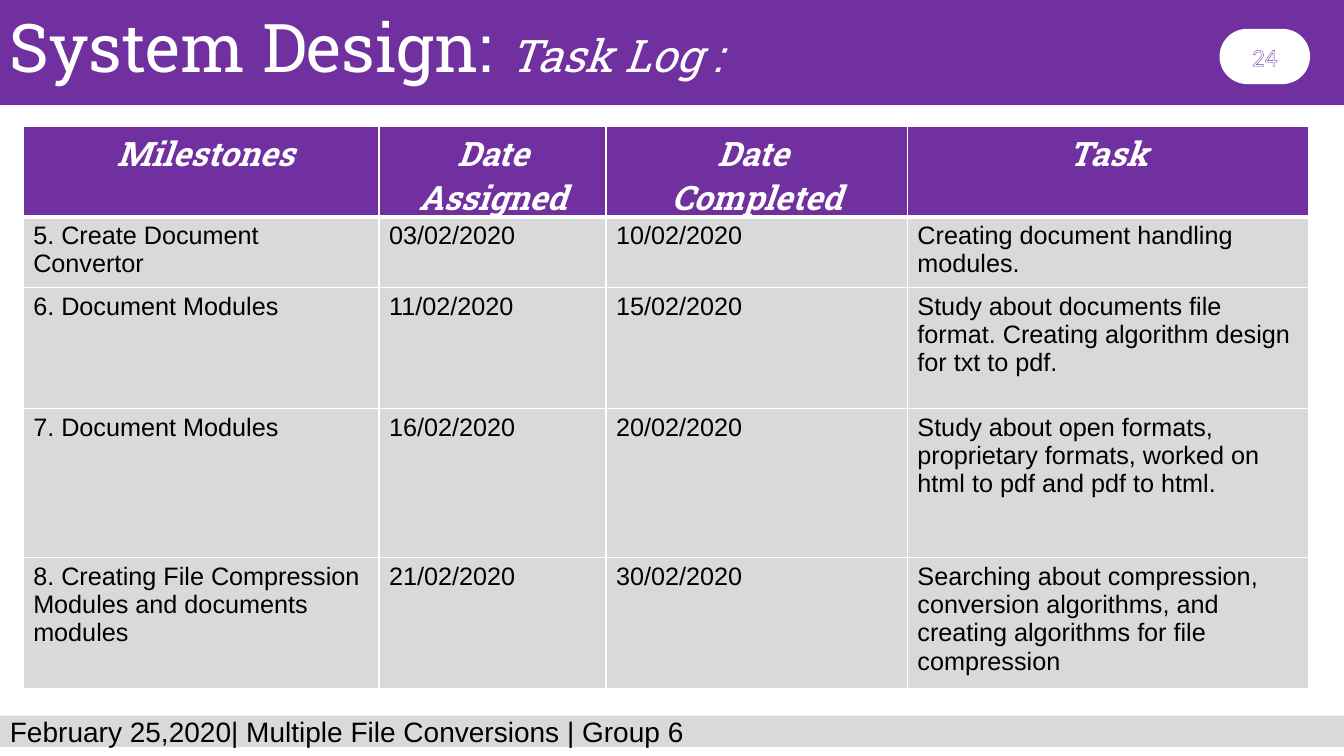
from lxml.etree import SubElement
from pptx import Presentation
from pptx.dml.color import RGBColor
from pptx.enum.shapes import MSO_SHAPE
from pptx.enum.text import MSO_ANCHOR, MSO_AUTO_SIZE, PP_ALIGN
from pptx.oxml import parse_xml
from pptx.oxml.ns import nsdecls, qn
from pptx.util import Inches, Pt

COLORS = {"purple": "7030A0", "gray": "D9D9D9", "white": "FFFFFF", "black": "000000"}
SLIDE_WIDTH, SLIDE_HEIGHT = 13.33, 7.5
THIN, THICK = 0.96, 3

COLUMN_WIDTHS = [3.53, 2.25, 2.99, 3.98]
ROW_HEIGHTS = [0.83, 0.65, 1.2, 1.48, 0.92]
# Each cell is a string; a line break starts a new paragraph.
TASK_LOG = [
    [" Milestones", "Date Assigned", "Date \nCompleted", "Task"],
    ["5. Create Document Convertor", "03/02/2020", "10/02/2020",
     "Creating document handling modules."],
    ["6. Document Modules", "11/02/2020", "15/02/2020",
     "Study about documents file format. Creating algorithm design for txt to pdf."],
    ["7. Document Modules", "16/02/2020", "20/02/2020",
     "Study about open formats, proprietary formats, worked on html to pdf and pdf to html."],
    ["8. Creating File Compression Modules and documents modules", "21/02/2020", "30/02/2020",
     "Searching about compression, conversion algorithms, and creating algorithms "
     "for file compression"],
]


def color(name):
    return RGBColor.from_string(COLORS[name])


def add_run(paragraph, text, size, font_name, color_name, bold=False, italic=False):
    run = paragraph.add_run()
    run.text = text
    font = run.font
    font.size, font.name = Pt(size), font_name
    font.bold, font.italic = bold, italic
    font.color.rgb = color(color_name)
    return run


def add_block(slide, kind, left, top, width, height, fill):
    shape = slide.shapes.add_shape(
        kind, Inches(left), Inches(top), Inches(width), Inches(height))
    shape.shadow.inherit = False
    shape.fill.solid()
    shape.fill.fore_color.rgb = color(fill)
    shape.line.fill.background()
    shape.text_frame.vertical_anchor = MSO_ANCHOR.MIDDLE
    return shape


def outline_text(run, color_name, width):
    """Draw the letters of a run with an outline."""
    line = parse_xml(
        f'<a:ln {nsdecls("a")} w="{Pt(width)}"><a:solidFill>'
        f'<a:srgbClr val="{COLORS[color_name]}"/></a:solidFill></a:ln>')
    run.font._element.insert(0, line)


def add_title_band(slide, left, top, width, height):
    add_block(slide, MSO_SHAPE.RECTANGLE, left, top, width, height, "purple")
    title = slide.shapes.add_textbox(
        Inches(left), Inches(top), Inches(9.87), Inches(0.91))
    title.text_frame.word_wrap = True
    title.text_frame.auto_size = MSO_AUTO_SIZE.SHAPE_TO_FIT_TEXT
    paragraph = title.text_frame.paragraphs[0]
    add_run(paragraph, "System Design: ", 48, "Roboto Slab", "white")
    add_run(paragraph, "Task Log :", 32, "Roboto Slab", "white", italic=True)


def add_page_badge(slide, left, top, width, height):
    badge = add_block(slide, MSO_SHAPE.ROUNDED_RECTANGLE, left, top, width, height, "white")
    badge.adjustments[0] = 0.5
    badge.line.color.rgb = color("white")
    badge.line.width = Pt(2)
    paragraph = badge.text_frame.paragraphs[0]
    paragraph.alignment = PP_ALIGN.CENTER
    number = add_run(paragraph, "24", 18, "Calibri", "white")
    outline_text(number, "purple", 0.75)


def set_borders(cell, top, bottom):
    """Give the cell white borders; top and bottom are widths in points."""
    properties = cell._tc.get_or_add_tcPr()
    for side, width in (("L", THIN), ("R", THIN), ("T", top), ("B", bottom)):
        line = SubElement(properties, qn(f"a:ln{side}"), w=str(Pt(width)))
        fill = SubElement(line, qn("a:solidFill"))
        SubElement(fill, qn("a:srgbClr"), val=COLORS["white"])


def fill_cell(cell, text, row):
    is_header = row == 0
    set_borders(cell, THICK if row == 1 else THIN, THICK if is_header else THIN)
    cell.fill.solid()
    cell.fill.fore_color.rgb = color("purple" if is_header else "gray")
    for index, line in enumerate(text.split("\n")):
        frame = cell.text_frame
        paragraph = frame.add_paragraph() if index else frame.paragraphs[0]
        if is_header:
            paragraph.alignment = PP_ALIGN.CENTER
            add_run(paragraph, line, 24, "Roboto Slab", "white", bold=True, italic=True)
        else:
            add_run(paragraph, line, 18, "Arial", "black")


def add_task_table(slide, left, top):
    frame = slide.shapes.add_table(
        len(ROW_HEIGHTS), len(COLUMN_WIDTHS), Inches(left), Inches(top),
        Inches(sum(COLUMN_WIDTHS)), Inches(sum(ROW_HEIGHTS)))
    table = frame.table
    for column, width in zip(table.columns, COLUMN_WIDTHS):
        column.width = Inches(width)
    for row, height in zip(table.rows, ROW_HEIGHTS):
        row.height = Inches(height)
    for row, texts in enumerate(TASK_LOG):
        for column, text in enumerate(texts):
            fill_cell(table.cell(row, column), text, row)


def add_footer(slide, left, top, width, height):
    footer = add_block(slide, MSO_SHAPE.RECTANGLE, left, top, width, height, "gray")
    paragraph = footer.text_frame.paragraphs[0]
    paragraph.alignment = PP_ALIGN.LEFT
    add_run(paragraph, "February 25,2020| Multiple File Conversions | Group 6",
            20, "Arial", "black")


def main():
    presentation = Presentation()
    presentation.slide_width = Inches(SLIDE_WIDTH)
    presentation.slide_height = Inches(SLIDE_HEIGHT)
    slide = presentation.slides.add_slide(presentation.slide_layouts[6])
    add_title_band(slide, 0, 0, SLIDE_WIDTH, 1.04)
    add_page_badge(slide, 12.11, 0.3, 0.87, 0.52)
    add_task_table(slide, 0.23, 1.25)
    add_footer(slide, 0, 7.1, SLIDE_WIDTH, 0.31)
    presentation.save("out.pptx")


if __name__ == "__main__":
    main()
